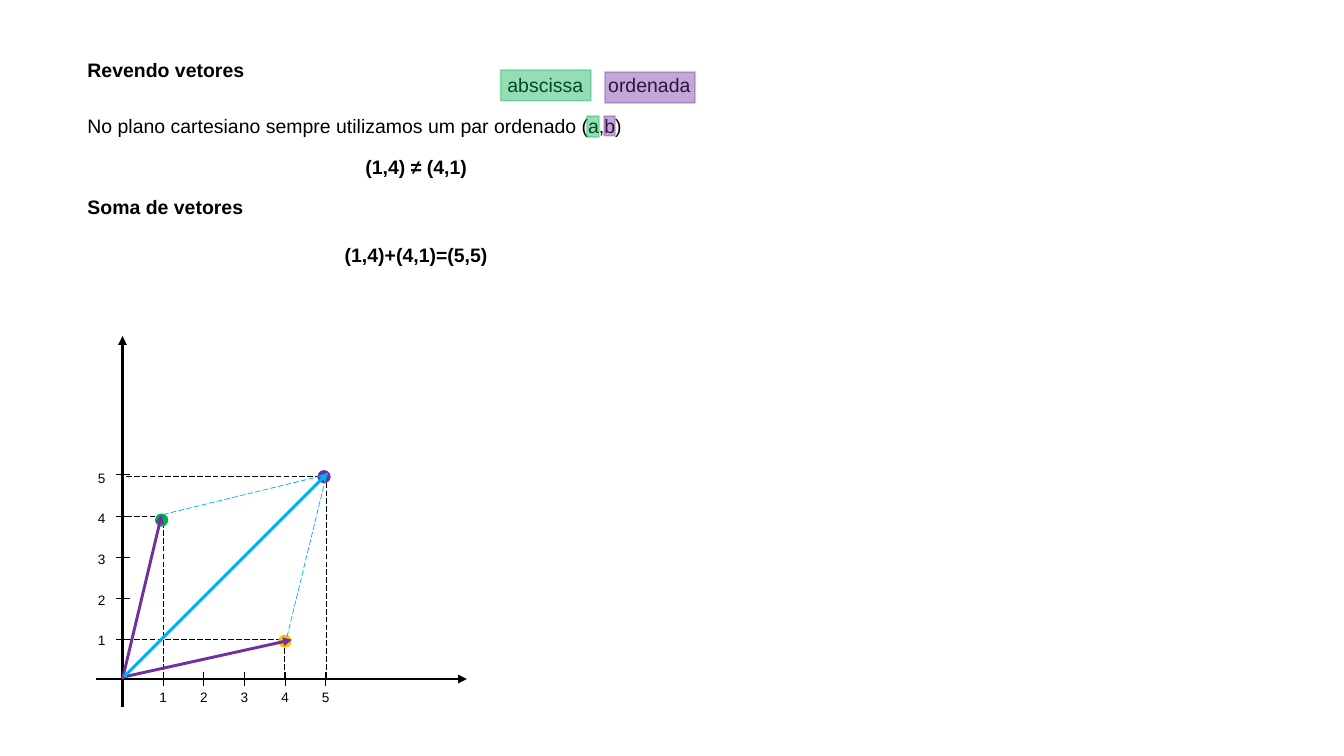
from lxml import etree
from pptx import Presentation
from pptx.dml.color import RGBColor
from pptx.enum.dml import MSO_LINE
from pptx.enum.shapes import MSO_CONNECTOR, MSO_SHAPE
from pptx.enum.text import MSO_ANCHOR, PP_ALIGN
from pptx.oxml.ns import qn
from pptx.util import Inches, Pt

BLACK = RGBColor(0x00, 0x00, 0x00)
GREEN = RGBColor(0x00, 0xB0, 0x50)
GOLD = RGBColor(0xFF, 0xC0, 0x00)
PURPLE = RGBColor(0x70, 0x30, 0xA0)
BLUE = RGBColor(0x00, 0xB0, 0xF0)
STRAIGHT = MSO_CONNECTOR.STRAIGHT
DASH = MSO_LINE.LONG_DASH
OVAL, RECT = MSO_SHAPE.OVAL, MSO_SHAPE.RECTANGLE
LEFT, CENTER = PP_ALIGN.LEFT, PP_ALIGN.CENTER
TOP = MSO_ANCHOR.TOP

prs = Presentation()
prs.slide_width, prs.slide_height = Inches(19.2), Inches(10.8)
slide = prs.slides.add_slide(prs.slide_layouts[6])
shapes = slide.shapes


def add_text(box, rows, size, wrap=False):
    """Place a text box; each row is text, bold, alignment, space before."""
    frame = shapes.add_textbox(*map(Inches, box)).text_frame
    frame.word_wrap = wrap
    frame.vertical_anchor = TOP
    for i, (text, bold, align, gap) in enumerate(rows):
        para = frame.paragraphs[0] if i == 0 else frame.add_paragraph()
        para.alignment = align
        if gap:
            para.space_before = Pt(gap)
        run = para.add_run()
        run.text = text
        font = run.font
        font.name, font.size, font.bold = "Arial", Pt(size), bold
        font.color.rgb = BLACK


def add_line(start, end, color=BLACK, width=0.75, dash=None, arrow=False):
    link = shapes.add_connector(STRAIGHT, *map(Inches, start + end))
    link.line.color.rgb = color
    link.line.width = Pt(width)
    if dash:
        link.line.dash_style = dash
    props = link._element.spPr
    if arrow:
        tip = etree.SubElement(props.find(qn("a:ln")), qn("a:tailEnd"))
        tip.set("type", "triangle")
    etree.SubElement(props, qn("a:effectLst"))


# Text
add_text((1.15, 0.78, 9.59, 3.3), [
    ("Revendo vetores", True, LEFT, 0),
    ("No plano cartesiano sempre utilizamos um par ordenado (a,b)",
     False, LEFT, 34),
    ("(1,4) ≠ (4,1)", True, CENTER, 18),
    ("Soma de vetores", True, LEFT, 17),
    ("(1,4)+(4,1)=(5,5)", True, CENTER, 25),
], 20, wrap=True)

# Axes, ticks and numbers
add_line((1.75, 10.1), (1.75, 4.8), width=3, arrow=True)
add_line((1.37, 9.7), (6.67, 9.7), width=3, arrow=True)
for i in range(5):
    x, y = 2.33 + 0.58 * i, 9.14 - 0.59 * i
    label = [(str(i + 1), False, LEFT, 0)]
    add_line((x, 9.6), (x, 9.8))
    add_line((1.86, y), (1.66, y))
    add_text((2.18 + 0.58 * i, 9.79, 0.31, 0.34), label, 14)
    add_text((1.3, 8.98 - 0.58 * i, 0.31, 0.34), label, 14)

# Dashed guides and points
points = [
    (2.33, 7.38, 2.23, 7.35, GREEN),
    (4.06, 9.14, 3.99, 9.08, GOLD),
    (4.66, 6.8, 4.55, 6.73, PURPLE),
]
for x, y, left, top, color in points:
    add_line((x, 9.68), (x, y), dash=DASH)
    add_line((1.8, y), (x, y), dash=DASH)
    dot = shapes.add_shape(OVAL, Inches(left), Inches(top),
                           Inches(0.16), Inches(0.16))
    dot.shadow.inherit = False
    dot.fill.solid()
    dot.fill.fore_color.rgb = dot.line.color.rgb = color
    dot.line.width = Pt(2)

# Vectors and the sides of the parallelogram
add_line((1.75, 9.7), (2.31, 7.35), PURPLE, 3, arrow=True)
add_line((1.77, 9.67), (4.17, 9.14), PURPLE, 3, arrow=True)
add_line((1.77, 9.67), (4.69, 6.75), BLUE, 3, arrow=True)
add_line((4.1, 9.1), (4.66, 6.8), BLUE, dash=DASH)
add_line((2.33, 7.35), (4.59, 6.8), BLUE, dash=DASH)

# Tinted marks for the two coordinates
add_text((7.15, 1, 1.29, 0.44), [("abscissa", False, LEFT, 0)], 20)
add_text((8.59, 1, 1.39, 0.44), [("ordenada", False, LEFT, 0)], 20)
marks = [
    (7.15, 1, 1.29, 0.44, GREEN),
    (8.38, 1.66, 0.18, 0.3, GREEN),
    (8.63, 1.66, 0.16, 0.28, PURPLE),
    (8.64, 1.03, 1.29, 0.44, PURPLE),
]
for *box, color in marks:
    mark = shapes.add_shape(RECT, *map(Inches, box))
    mark.shadow.inherit = False
    mark.fill.solid()
    mark.fill.fore_color.rgb = mark.line.color.rgb = color
    mark.line.width = Pt(2)
    tints = mark._element.spPr.iter(qn("a:srgbClr"))
    for tint, alpha in zip(tints, ("42000", "28000")):
        etree.SubElement(tint, qn("a:alpha")).set("val", alpha)

prs.save("out.pptx")
